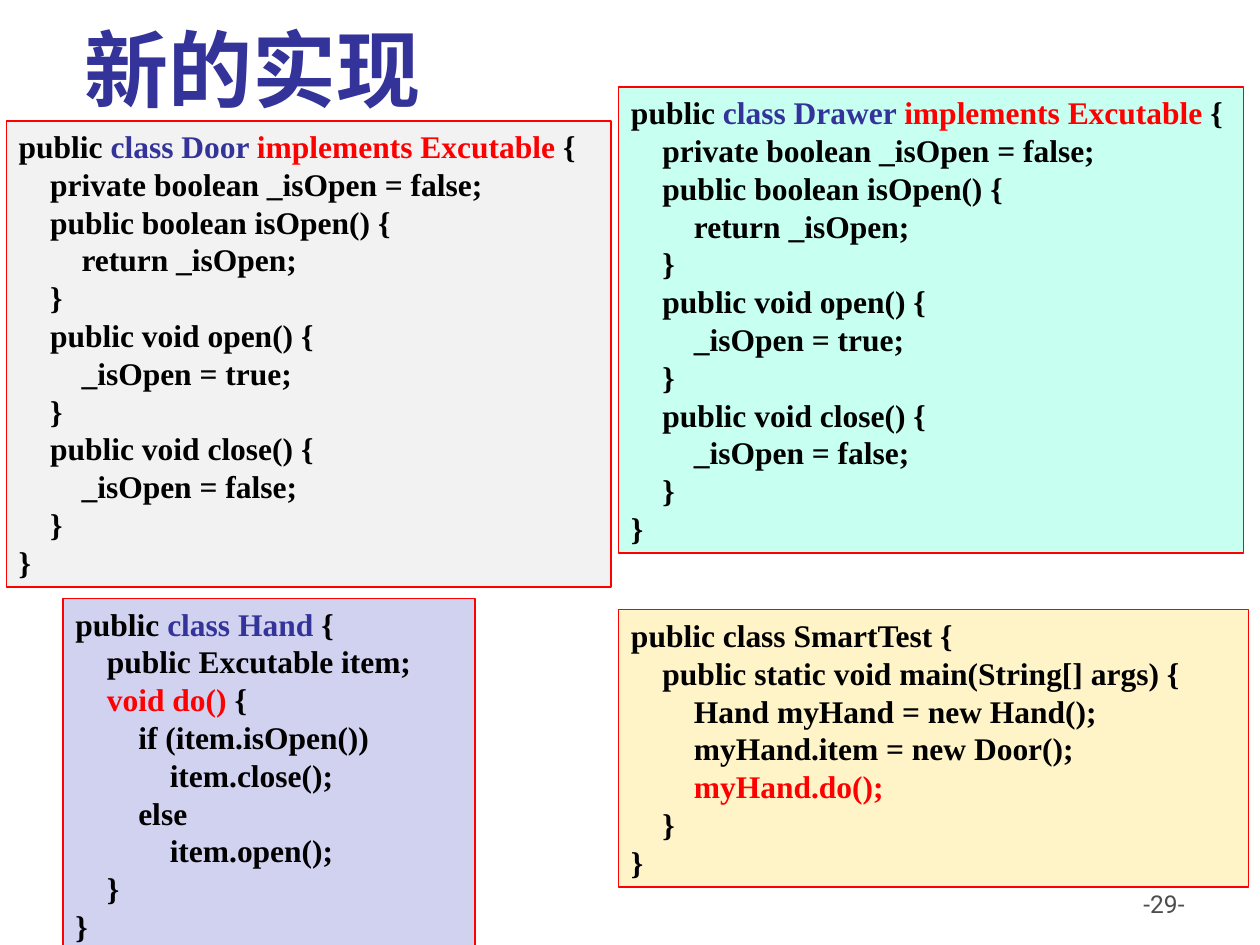
"""Build a slide that shows the refactored Door, Drawer, Hand and SmartTest classes."""
from dataclasses import dataclass

from pptx import Presentation
from pptx.dml.color import RGBColor
from pptx.enum.shapes import MSO_SHAPE
from pptx.enum.text import MSO_ANCHOR, MSO_AUTO_SIZE, PP_ALIGN
from pptx.util import Inches, Pt

RECTANGLE = MSO_SHAPE.RECTANGLE
TOP, BOTTOM = MSO_ANCHOR.TOP, MSO_ANCHOR.BOTTOM
LEFT, RIGHT = PP_ALIGN.LEFT, PP_ALIGN.RIGHT
GROW = MSO_AUTO_SIZE.SHAPE_TO_FIT_TEXT

BLACK = RGBColor(0x00, 0x00, 0x00)
RED = RGBColor(0xFF, 0x00, 0x00)
INDIGO = RGBColor(0x33, 0x33, 0x99)
GRAY = RGBColor(0x4D, 0x4D, 0x4D)
PALE_GRAY = RGBColor(0xF2, 0xF2, 0xF2)
LAVENDER = RGBColor(0xD1, 0xD1, 0xF0)
MINT = RGBColor(0xC7, 0xFF, 0xF0)
CREAM = RGBColor(0xFF, 0xF4, 0xC8)

COLUMNS, ROWS = 100, 75
SLIDE_WIDTH, SLIDE_HEIGHT = Inches(10), Inches(7.5)
CODE_FONT, HEADING_FONT = "Times New Roman", "Roboto"
CODE_SIZE = 18
CODE_LINE = 1.2 * CODE_SIZE
ROWS_PER_LINE, PADDING_ROWS = 3, 1


@dataclass(frozen=True)
class Run:
    """A stretch of text in one colour."""

    text: str
    color: RGBColor = BLACK


Line = list[Run]


@dataclass(frozen=True)
class CodePanel:
    """A framed listing placed on the slide grid."""

    column: float
    row: float
    columns: float
    fill: RGBColor
    lines: list[Line]


def plain(code: str) -> list[Line]:
    """Turn code into black lines."""
    return [[Run(text)] for text in code.strip("\n").split("\n")]


def executable_class(name: str) -> list[Line]:
    """Return the listing of a class that can be opened and closed."""
    heading = [Run("public "), Run(f"class {name} ", INDIGO),
               Run("implements Excutable", RED), Run(" {")]
    return [heading] + plain("""
    private boolean _isOpen = false;
    public boolean isOpen() {
        return _isOpen;
    }
    public void open() {
        _isOpen = true;
    }
    public void close() {
        _isOpen = false;
    }
}
""")


HAND = [
    [Run("public "), Run("class Hand", INDIGO), Run(" {")],
    [Run("    public Excutable item;")],
    [Run("    "), Run("void do()", RED), Run(" {")],
] + plain("""
        if (item.isOpen())
            item.close();
        else
            item.open();
    }
}
""")

SMART_TEST = plain("""
public class SmartTest {
    public static void main(String[] args) {
        Hand myHand = new Hand();
        myHand.item = new Door();
""") + [[Run("        "), Run("myHand.do();", RED)]] + plain("""
    }
}
""")

PANELS = [
    CodePanel(0.5, 9.6, 48, PALE_GRAY, executable_class("Door")),
    CodePanel(5, 47.5, 32.7, LAVENDER, HAND),
    CodePanel(49.1, 6.9, 49.6, MINT, executable_class("Drawer")),
    CodePanel(49.1, 48.4, 50, CREAM, SMART_TEST),
]


def grid_box(column: float, row: float, columns: float, rows: float) -> list[int]:
    """Convert grid cells to left, top, width and height."""
    cell_width, cell_height = SLIDE_WIDTH / COLUMNS, SLIDE_HEIGHT / ROWS
    return [round(column * cell_width), round(row * cell_height),
            round(columns * cell_width), round(rows * cell_height)]


def write_text(shape, lines: list[Line], *, font: str, size: float, bold: bool = False,
               align=LEFT, anchor=TOP, spacing: float | None = None) -> None:
    """Fill a shape with formatted lines."""
    frame = shape.text_frame
    frame.word_wrap = True
    frame.vertical_anchor = anchor
    for index, line in enumerate(lines):
        paragraph = frame.add_paragraph() if index else frame.paragraphs[0]
        paragraph.alignment = align
        if spacing:
            paragraph.line_spacing = Pt(spacing)
        for part in line:
            run = paragraph.add_run()
            run.text = part.text
            run.font.name = font
            run.font.size = Pt(size)
            run.font.bold = bold
            run.font.color.rgb = part.color


def draw_panel(slide, panel: CodePanel) -> None:
    """Draw a listing in a frame as tall as its lines."""
    rows = PADDING_ROWS + ROWS_PER_LINE * len(panel.lines)
    shape = slide.shapes.add_shape(
        RECTANGLE, *grid_box(panel.column, panel.row, panel.columns, rows))
    shape.shadow.inherit = False
    shape.fill.solid()
    shape.fill.fore_color.rgb = panel.fill
    shape.line.color.rgb = RED
    shape.line.width = Pt(0.75)
    write_text(shape, panel.lines, font=CODE_FONT, size=CODE_SIZE, bold=True,
               spacing=CODE_LINE)
    shape.text_frame.auto_size = GROW


def main() -> None:
    """Build and save the presentation."""
    presentation = Presentation()
    presentation.slide_width, presentation.slide_height = SLIDE_WIDTH, SLIDE_HEIGHT
    slide = presentation.slides.add_slide(presentation.slide_layouts[6])

    page_number = slide.shapes.add_textbox(*grid_box(71.7, 70.1, 23.3, 5.2))
    write_text(page_number, [[Run("-29-", GRAY)]], font=HEADING_FONT, size=14, align=RIGHT)
    title = slide.shapes.add_textbox(*grid_box(5.7, 2.8, 86.8, 7.1))
    write_text(title, [[Run("新的实现", INDIGO)]], font=HEADING_FONT, size=48, bold=True,
               anchor=BOTTOM)
    for panel in PANELS:
        draw_panel(slide, panel)
    presentation.save("out.pptx")


if __name__ == "__main__":
    main()
